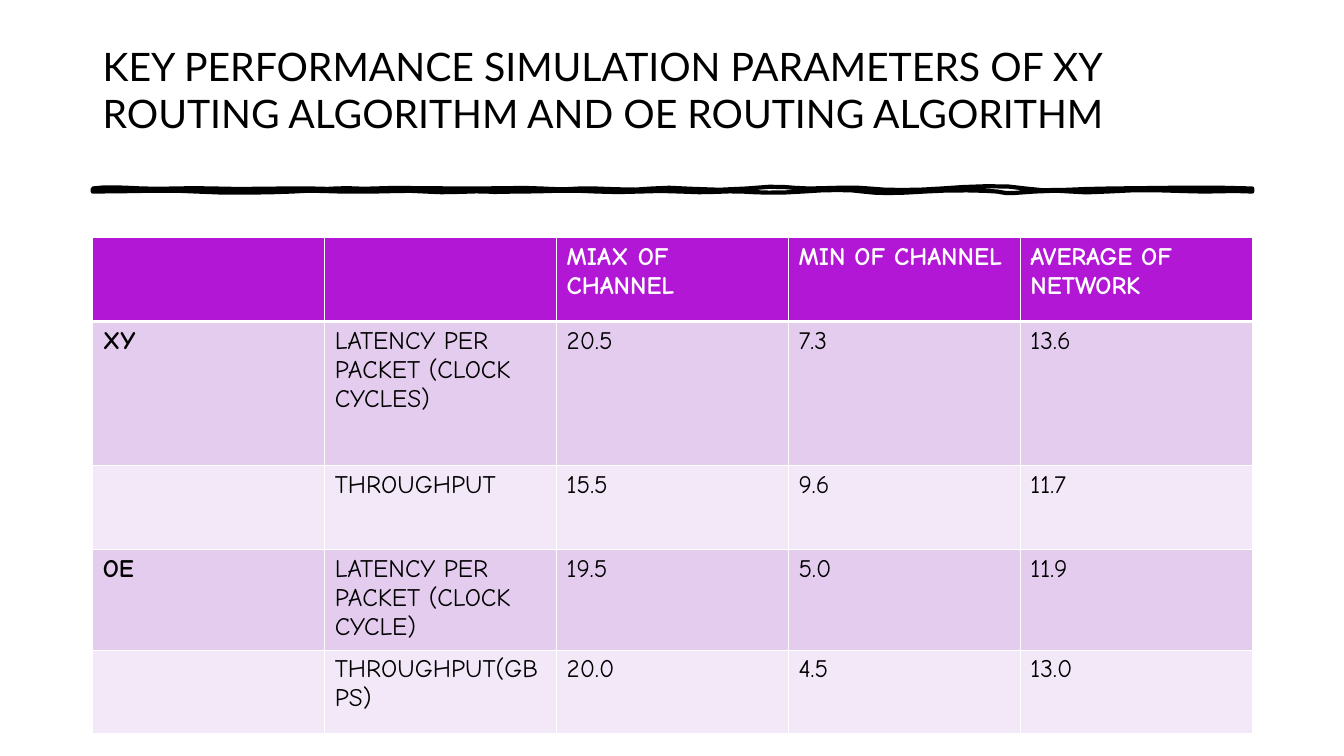
from lxml import etree
from pptx import Presentation
from pptx.dml.color import RGBColor
from pptx.enum import text
from pptx.oxml import ns
from pptx.util import Inches, Pt

BLACK = RGBColor(0x00, 0x00, 0x00)
WHITE = RGBColor(0xFF, 0xFF, 0xFF)
PURPLE = RGBColor(0xB2, 0x17, 0xD5)
LILAC = RGBColor(0xE4, 0xCC, 0xEF)
PALE_LILAC = RGBColor(0xF2, 0xE8, 0xF7)

LEFT, WIDTH = 0.92, 11.5

# Each curve of the brush stroke: two control points and an end point.
TOP_EDGE = [
    (1.05, 1.85, 1.19, 1.86, 1.41, 1.87), (1.62, 1.88, 1.84, 1.86, 2.12, 1.87),
    (2.41, 1.88, 2.55, 1.87, 2.96, 1.87), (3.36, 1.87, 3.15, 1.88, 3.33, 1.87),
    (3.51, 1.86, 3.56, 1.88, 3.71, 1.87), (3.85, 1.86, 4.3, 1.87, 4.65, 1.87),
    (5, 1.87, 5.2, 1.86, 5.37, 1.87), (5.55, 1.88, 5.6, 1.88, 5.75, 1.87),
    (5.9, 1.86, 6.29, 1.9, 6.47, 1.87), (6.64, 1.84, 7.05, 1.91, 7.41, 1.87),
    (7.77, 1.83, 7.82, 1.87, 8.02, 1.87), (8.21, 1.87, 8.47, 1.85, 8.62, 1.87),
    (8.78, 1.89, 9.09, 1.89, 9.34, 1.87), (9.59, 1.85, 9.99, 1.83, 10.17, 1.87),
    (10.36, 1.91, 10.68, 1.87, 11.01, 1.87), (11.34, 1.87, 11.97, 1.85, 12.42, 1.87),
]
BOTTOM_EDGE = [
    (12.42, 1.88, 12.42, 1.89, 12.42, 1.9),
    (12.23, 1.89, 12.1, 1.9, 11.93, 1.9), (11.76, 1.9, 11.32, 1.87, 10.98, 1.9),
    (10.64, 1.93, 10.61, 1.87, 10.26, 1.9), (9.91, 1.93, 9.98, 1.91, 9.89, 1.9),
    (9.79, 1.89, 9.44, 1.88, 9.17, 1.9), (8.89, 1.92, 8.69, 1.92, 8.56, 1.9),
    (8.44, 1.88, 8.21, 1.88, 7.96, 1.9), (7.71, 1.92, 7.51, 1.91, 7.36, 1.9),
    (7.2, 1.89, 7.01, 1.92, 6.75, 1.9), (6.49, 1.88, 6.21, 1.92, 5.92, 1.9),
    (5.63, 1.88, 5.43, 1.9, 5.2, 1.9), (4.97, 1.9, 4.92, 1.91, 4.83, 1.9),
    (4.74, 1.89, 4.4, 1.92, 4.22, 1.9), (4.05, 1.88, 3.76, 1.91, 3.39, 1.9),
    (3.02, 1.89, 3.1, 1.89, 2.9, 1.9), (2.7, 1.91, 2.22, 1.92, 1.95, 1.9),
    (1.69, 1.88, 1.36, 1.9, 0.92, 1.9),
]
ROWS = [
    ("", "", "MIAX OF CHANNEL", "MIN OF CHANNEL", "AVERAGE OF NETWORK"),
    ("XY", "LATENCY PER PACKET (CLOCK CYCLES)", "20.5", "7.3", "13.6"),
    ("", "THROUGHPUT", "15.5", "9.6", "11.7"),
    ("OE", "LATENCY PER PACKET (CLOCK CYCLE)", "19.5", "5.0", "11.9"),
    ("", "THROUGHPUT(GBPS)", "20.0", "4.5", "13.0"),
]
ROW_HEIGHTS = [0.83, 1.43, 0.83, 0.83, 0.83]


def add_run(paragraph, words, font, size, color, bold=False):
    run = paragraph.add_run()
    run.text = words
    run.font.name = font
    run.font.size = Pt(size)
    run.font.color.rgb = color
    run.font.bold = bold


def set_borders(cell, points_by_side):
    """Draw white cell borders; sides are L, R, T, B in schema order."""
    properties = cell._tc.get_or_add_tcPr()
    for index, (side, points) in enumerate(points_by_side.items()):
        border = etree.Element(ns.qn(f"a:ln{side}"), w=str(Pt(points)))
        fill = etree.SubElement(border, ns.qn("a:solidFill"))
        etree.SubElement(fill, ns.qn("a:srgbClr"), val=str(WHITE))
        properties.insert(index, border)


deck = Presentation()
deck.slide_width = Inches(13.33)
deck.slide_height = Inches(7.5)
slide = deck.slides.add_slide(deck.slide_layouts[6])

# Hand-drawn rule below the title
pen = (LEFT, 1.87)
stroke_points = []
for x1, y1, x2, y2, x3, y3 in TOP_EDGE + BOTTOM_EDGE:
    for t in (0.25, 0.5, 0.75, 1):
        weights = ((1 - t) ** 3, 3 * t * (1 - t) ** 2, 3 * t * t * (1 - t), t ** 3)
        x = sum(w * v for w, v in zip(weights, (pen[0], x1, x2, x3)))
        y = sum(w * v for w, v in zip(weights, (pen[1], y1, y2, y3)))
        stroke_points.append((Inches(x), Inches(y)))
    pen = (x3, y3)
stroke_outline = slide.shapes.build_freeform(Inches(LEFT), Inches(1.87))
stroke_outline.add_line_segments(stroke_points, close=True)
rule = stroke_outline.convert_to_shape()
rule.shadow.inherit = False
rule.fill.background()
rule.line.color.rgb = BLACK
rule.line.width = Pt(3)

# Title, lifted by the bottom margin
title = slide.shapes.add_textbox(Inches(LEFT), Inches(0.4), Inches(WIDTH), Inches(1.45))
title_frame = title.text_frame
title_frame.word_wrap = True
title_frame.vertical_anchor = text.MSO_ANCHOR.MIDDLE
title_frame.margin_bottom = Inches(0.52)
add_run(title_frame.paragraphs[0],
        "KEY PERFORMANCE SIMULATION PARAMETERS OF XY ROUTING ALGORITHM AND OE ROUTING ALGORITHM",
        "Lato", 28, BLACK)

# Results table
results = slide.shapes.add_table(len(ROWS), len(ROWS[0]), Inches(LEFT), Inches(2.36),
                                 Inches(WIDTH), Inches(sum(ROW_HEIGHTS))).table
for column in results.columns:
    column.width = Inches(WIDTH / len(ROWS[0]))
for r, (height, row) in enumerate(zip(ROW_HEIGHTS, ROWS)):
    results.rows[r].height = Inches(height)
    is_header = r == 0
    row_color = PURPLE if is_header else LILAC if r % 2 else PALE_LILAC
    for c, words in enumerate(row):
        cell = results.cell(r, c)
        cell.fill.solid()
        cell.fill.fore_color.rgb = row_color
        set_borders(cell, {"L": 1, "R": 1, "T": 3 if r == 1 else 1, "B": 3 if is_header else 1})
        if words:
            add_run(cell.text_frame.paragraphs[0], words, "Comic Neue", 18,
                    WHITE if is_header else BLACK, bold=is_header or c == 0)

deck.save("out.pptx")
